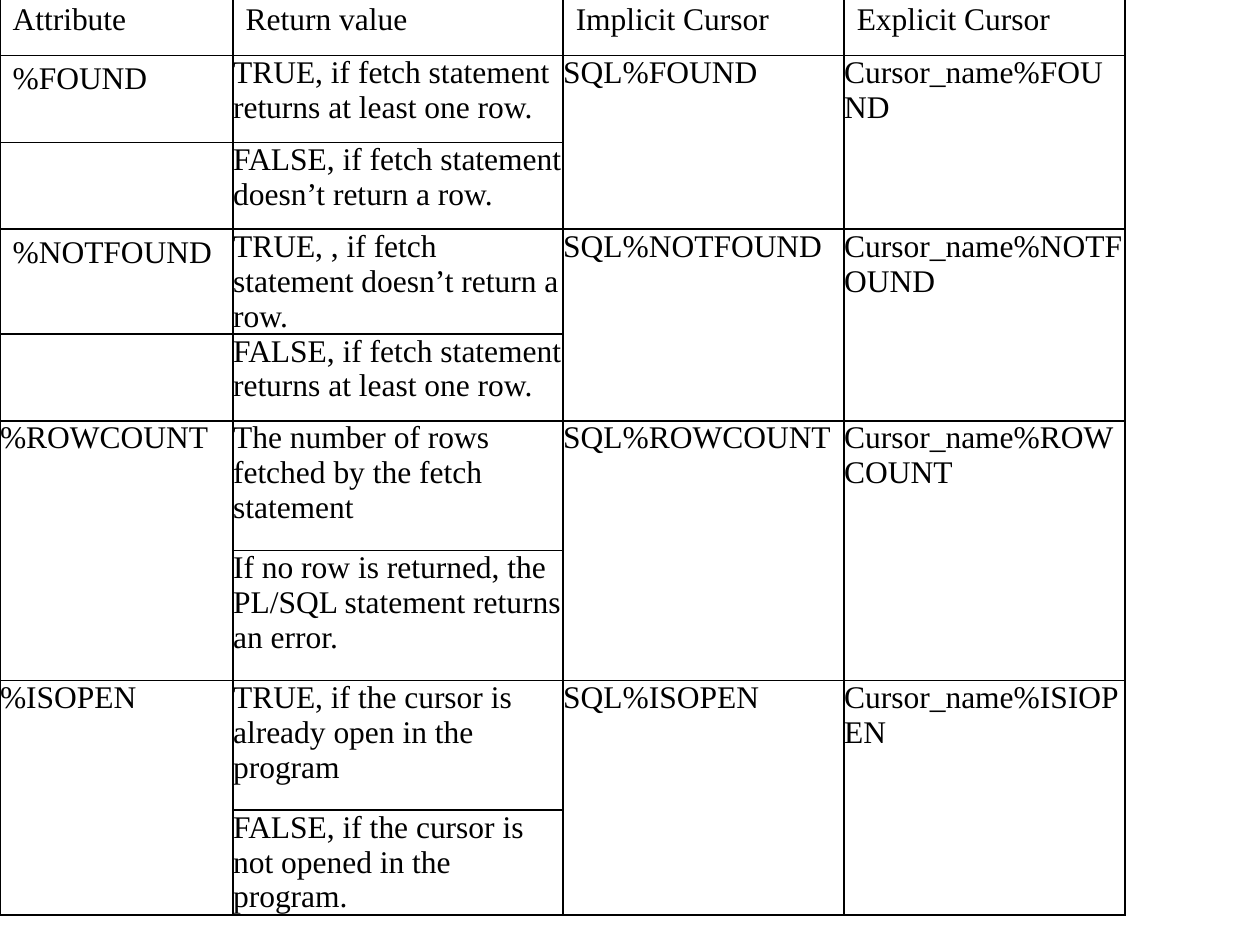
import pptx
import pptx.util
import pptx.dml.color
import pptx.oxml
import pptx.oxml.ns
from pptx.util import Inches, Pt

COLORS = {"ink": "000000", "paper": "FFFFFF"}
FONT = "Times New Roman"

# Content
HEADERS = ["Attribute", "Return value", "Implicit Cursor", "Explicit Cursor"]
# name, two return values, implicit cursor, explicit cursor, name cells merged
ATTRIBUTES = [
    ("%FOUND",
     ("TRUE, if fetch statement returns at least one row.",
      "FALSE, if fetch statement doesn’t return a row."),
     "SQL%FOUND", "Cursor_name%FOUND", False),
    ("%NOTFOUND",
     ("TRUE, , if fetch statement doesn’t return a row.",
      "FALSE, if fetch statement returns at least one row."),
     "SQL%NOTFOUND", "Cursor_name%NOTFOUND", False),
    ("%ROWCOUNT",
     ("The number of rows fetched by the fetch statement",
      "If no row is returned, the PL/SQL statement returns an error."),
     "SQL%ROWCOUNT", "Cursor_name%ROWCOUNT", True),
    ("%ISOPEN",
     ("TRUE, if the cursor is already open in the program",
      "FALSE, if the cursor is not opened in the program."),
     "SQL%ISOPEN", "Cursor_name%ISIOPEN", True),
]
COLUMN_WIDTHS = [1.85, 2.62, 2.23, 2.23]
ROW_HEIGHTS = [0.47, 0.69, 0.69, 0.8, 0.69, 1.03, 1.03, 1.03, 0.69]


def add_borders(cell):
    properties = cell._tc.get_or_add_tcPr()
    for index, side in enumerate(("lnL", "lnR", "lnT", "lnB")):
        properties.insert(index, pptx.oxml.parse_xml(
            f'<a:{side} {pptx.oxml.ns.nsdecls("a")} w="{Pt(1)}"><a:solidFill>'
            f'<a:srgbClr val="{COLORS["ink"]}"/></a:solidFill></a:{side}>'))


def fill_cell(cell, text, flush):
    cell.text_frame.text = text
    if flush:
        cell.margin_left = cell.margin_right = 0
        cell.margin_top = cell.margin_bottom = 0
    paragraph = cell.text_frame.paragraphs[0]
    paragraph.font.size = Pt(18)
    for run in paragraph.runs:
        run.font.name = FONT
        run.font.size = Pt(18)
        run.font.bold = False
        run.font.color.rgb = pptx.dml.color.RGBColor.from_string(COLORS["ink"])


presentation = pptx.Presentation()
presentation.slide_width = Inches(10)
presentation.slide_height = Inches(7.5)
slide = presentation.slides.add_slide(presentation.slide_layouts[6])
slide.background.fill.solid()
slide.background.fill.fore_color.rgb = pptx.dml.color.RGBColor.from_string(COLORS["paper"])

# Table grid
table = slide.shapes.add_table(
    len(ROW_HEIGHTS), len(COLUMN_WIDTHS), Inches(0), Inches(-0.03),
    Inches(sum(COLUMN_WIDTHS)), Inches(sum(ROW_HEIGHTS))).table
table.first_row = table.horz_banding = False
for column, width in zip(table.columns, COLUMN_WIDTHS):
    column.width = Inches(width)
for row, height in zip(table.rows, ROW_HEIGHTS):
    row.height = Inches(height)
for cell in table.iter_cells():
    fill_cell(cell, "", False)
    cell.fill.background()
    add_borders(cell)

# Header row
for column, header in enumerate(HEADERS):
    fill_cell(table.cell(0, column), header, False)

# Each attribute takes two rows
for index, (name, values, implicit, explicit, merged) in enumerate(ATTRIBUTES):
    top = 1 + 2 * index
    for column in ([0, 2, 3] if merged else [2, 3]):
        table.cell(top, column).merge(table.cell(top + 1, column))
    fill_cell(table.cell(top, 0), name, merged)
    for offset, value in enumerate(values):
        fill_cell(table.cell(top + offset, 1), value, True)
    fill_cell(table.cell(top, 2), implicit, True)
    fill_cell(table.cell(top, 3), explicit, True)

presentation.save("out.pptx")
